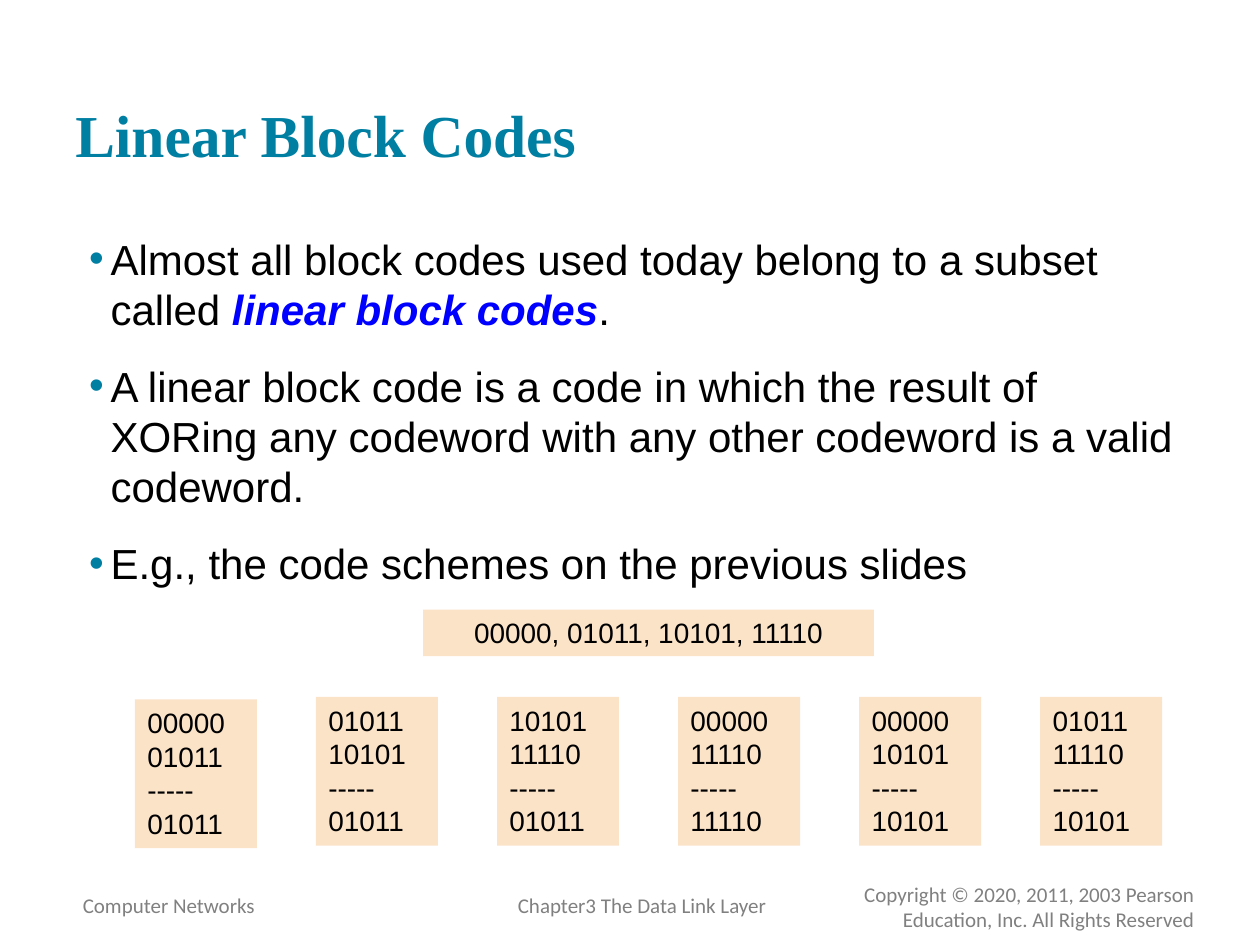
import pptx
import pptx.dml.color
import pptx.enum.shapes
import pptx.enum.text
import pptx.oxml.ns
import pptx.util
from lxml import etree
from pptx.util import Cm

TEAL, BLACK, GREY = "007FA3", "000000", "808080"
BLUE, PEACH = "0000FF", "FBE3C8"
ALIGN = pptx.enum.text.PP_ALIGN
ANCHOR = pptx.enum.text.MSO_ANCHOR

BULLETS = [
    ["Almost all block codes used today belong to a subset called ",
     "linear block codes", "."],
    ["A linear block code is a code in which the result of XORing any "
     "codeword with any other codeword is a valid codeword."],
    ["E.g., the code schemes on the previous slides"],
]
CODEWORDS = "00000, 01011, 10101, 11110"
XOR_SUMS = [
    ("00000", "01011", "01011"),
    ("01011", "10101", "01011"),
    ("10101", "11110", "01011"),
    ("00000", "11110", "11110"),
    ("00000", "10101", "10101"),
    ("01011", "11110", "10101"),
]


def color(hex_code):
    return pptx.dml.color.RGBColor.from_string(hex_code)


def style(font, name, size, hex_code, bold=False, italic=False):
    font.name = name
    font.size = pptx.util.Pt(size)
    font.color.rgb = color(hex_code)
    font.bold = bold
    font.italic = italic


def add_text(slide, box, text, name, size, hex_code, bold=False,
             align=ALIGN.LEFT, anchor=ANCHOR.TOP, wrap=True):
    frame = slide.shapes.add_textbox(*map(Cm, box)).text_frame
    frame.word_wrap = wrap
    frame.vertical_anchor = anchor
    frame.text = text
    paragraph = frame.paragraphs[0]
    paragraph.alignment = align
    style(paragraph.runs[0].font, name, size, hex_code, bold)
    return frame


def set_block_margins(frame):
    frame.margin_top = frame.margin_bottom = Cm(0.25)


def add_bullet(paragraph):
    properties = paragraph._p.get_or_add_pPr()
    properties.set("marL", str(Cm(0.71)))
    properties.set("indent", str(Cm(-0.43)))
    qn = pptx.oxml.ns.qn
    bullet_color = etree.SubElement(properties, qn("a:buClr"))
    etree.SubElement(bullet_color, qn("a:srgbClr"), val=TEAL)
    etree.SubElement(properties, qn("a:buFont"), typeface="Arial")
    etree.SubElement(properties, qn("a:buChar"), char="•")


def add_bullet_list(slide, box):
    frame = slide.shapes.add_textbox(*map(Cm, box)).text_frame
    frame.word_wrap = True
    set_block_margins(frame)
    for index, pieces in enumerate(BULLETS):
        paragraph = frame.add_paragraph() if index else frame.paragraphs[0]
        add_bullet(paragraph)
        if index:
            paragraph.space_before = pptx.util.Pt(15)
        for piece in pieces:
            run = paragraph.add_run()
            run.text = piece
            is_term = piece == "linear block codes"
            style(run.font, "Arial", 24, BLUE if is_term else BLACK,
                  is_term, is_term)


def add_code_box(slide, box, lines, align=ALIGN.LEFT):
    code_box = slide.shapes.add_shape(
        pptx.enum.shapes.MSO_SHAPE.RECTANGLE, *map(Cm, box))
    code_box.shadow.inherit = False
    code_box.fill.solid()
    code_box.fill.fore_color.rgb = color(PEACH)
    code_box.line.fill.background()
    frame = code_box.text_frame
    frame.word_wrap = True
    frame.vertical_anchor = ANCHOR.TOP
    frame.text = "\n".join(lines)
    for paragraph in frame.paragraphs:
        paragraph.alignment = align
        style(paragraph.runs[0].font, "Arial", 16, BLACK)


def add_footer(slide):
    footer_style = ("Calibri", 12, GREY)
    add_text(slide, (16.28, 17.65, 8.05, 0.56),
             "Copyright © 2020, 2011, 2003 Pearson Education, Inc. "
             "All Rights Reserved", *footer_style, align=ALIGN.RIGHT)
    add_text(slide, (1.42, 17.86, 8.79, 0.76), "Computer Networks",
             *footer_style)
    add_text(slide, (10.19, 17.86, 5.64, 0.76),
             "Chapter3 The Data Link Layer", *footer_style, wrap=False)


def main():
    presentation = pptx.Presentation()
    presentation.slide_width = Cm(25.4)
    presentation.slide_height = Cm(19.05)
    slide = presentation.slides.add_slide(presentation.slide_layouts[6])

    add_footer(slide)

    # Title and explanation
    title = add_text(slide, (1.27, 0.61, 22.86, 3.05), "Linear Block Codes",
                     "Times New Roman", 34, TEAL, bold=True,
                     anchor=ANCHOR.BOTTOM)
    set_block_margins(title)
    add_bullet_list(slide, (1.27, 4.45, 22.86, 12.57))

    # Codewords and their pairwise sums; the first sum sits slightly lower
    add_code_box(slide, (8.53, 12.29, 9.09, 0.94), [CODEWORDS], ALIGN.CENTER)
    for column, (first, second, result) in enumerate(XOR_SUMS):
        top = 14.05 if column else 14.1
        add_code_box(slide, (2.72 + 3.65 * column, top, 2.46, 3),
                     [first, second, "-----", result])

    presentation.save("out.pptx")


if __name__ == "__main__":
    main()
